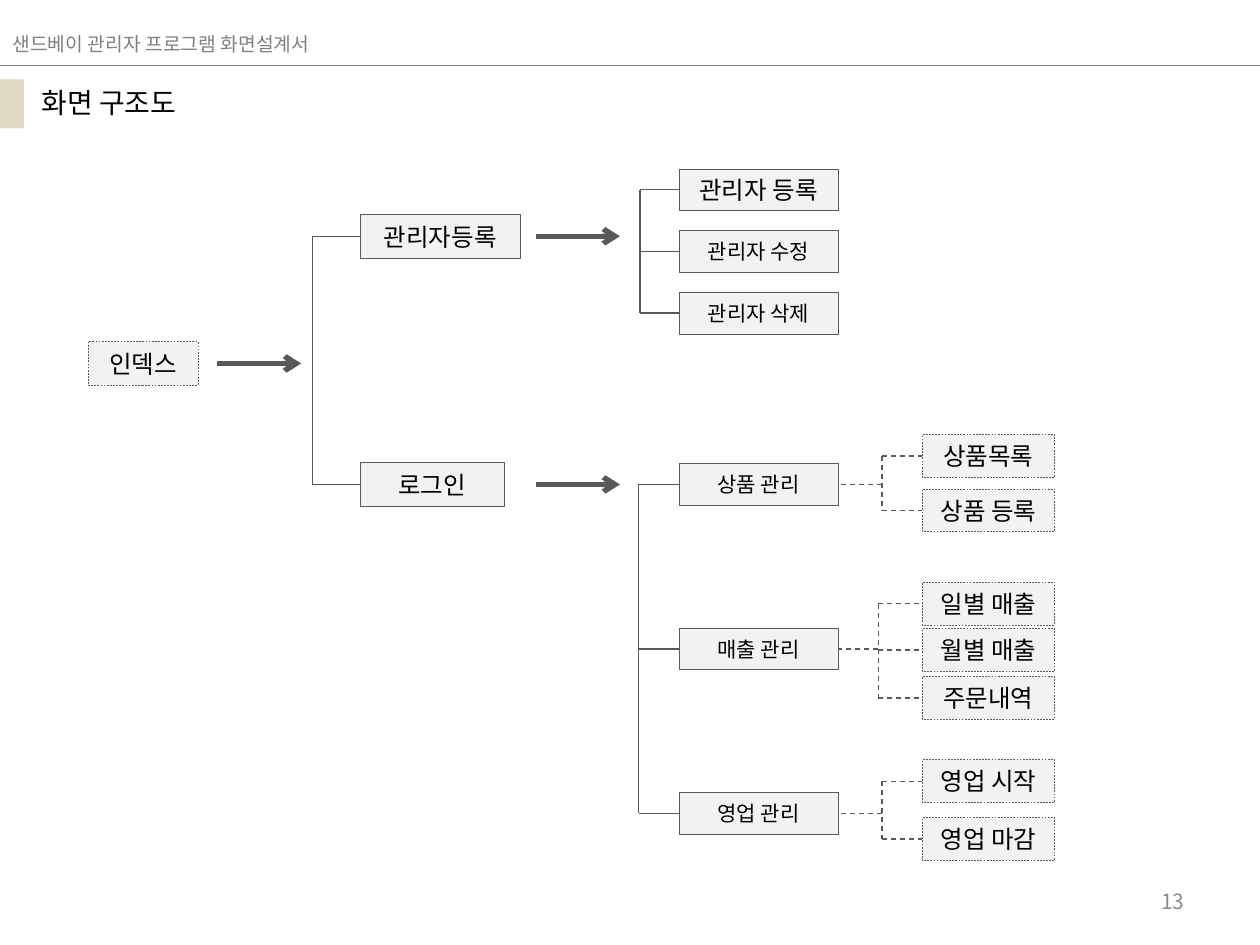
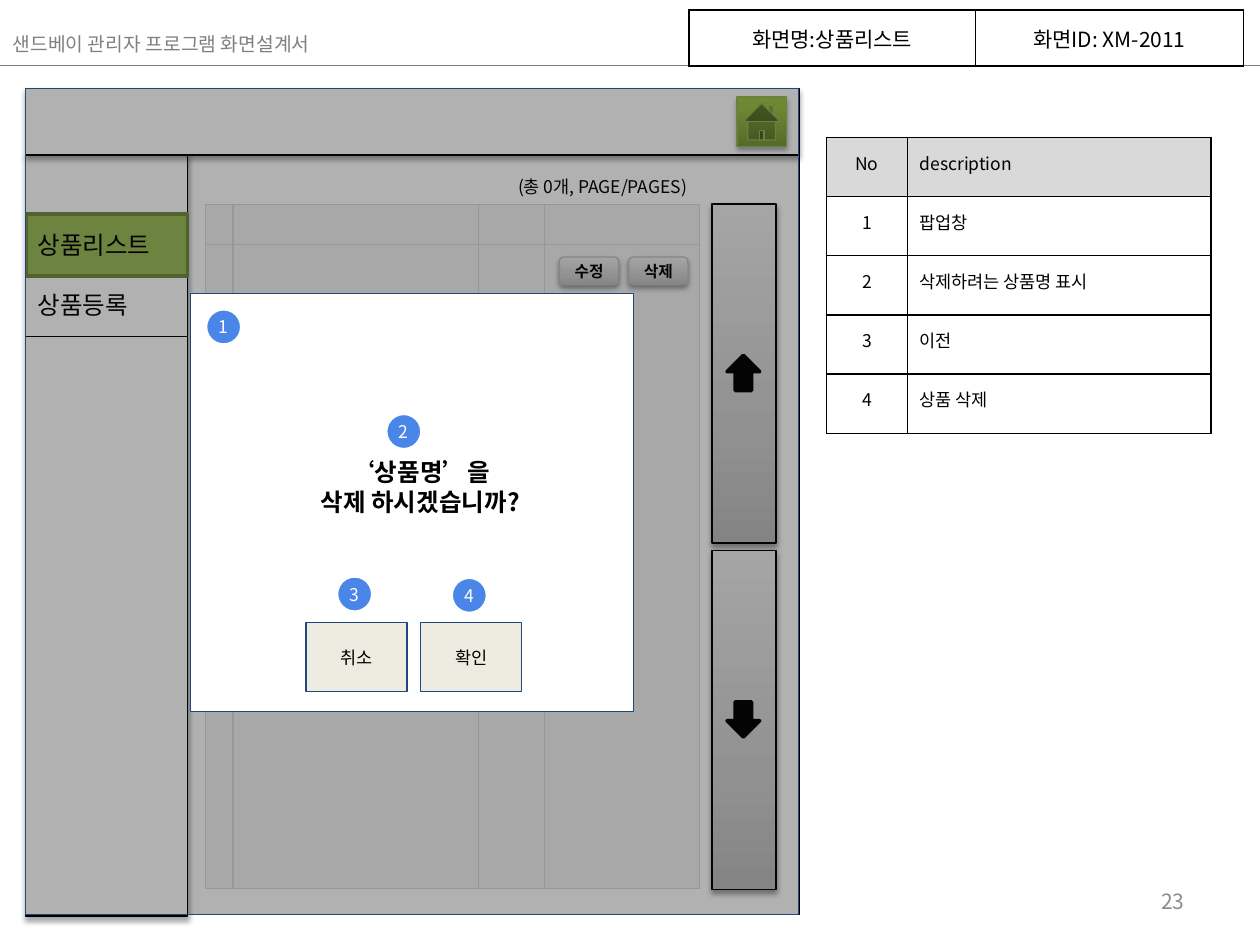
from copy import deepcopy

from pptx import Presentation
from pptx.dml.color import RGBColor
from pptx.enum import dml, shapes, text
from pptx.oxml import ns, xmlchemy
from pptx.util import Inches, Pt

FONT = "Noto Sans CJK KR"
BLACK = RGBColor(0x00, 0x00, 0x00)
WHITE = RGBColor(0xFF, 0xFF, 0xFF)
HEADER_GREY = RGBColor(0x80, 0x80, 0x80)
PAGE_GREY = RGBColor(0x8C, 0x8C, 0x8C)
TREE_LINE = RGBColor(0x59, 0x59, 0x59)
PALE_GREY = RGBColor(0xF2, 0xF2, 0xF2)
GRID_GREY = RGBColor(0xD9, 0xD9, 0xD9)
BUTTON_EDGE = RGBColor(0xBF, 0xBF, 0xBF)
BEIGE = RGBColor(0xDD, 0xD9, 0xC3)
CREAM = RGBColor(0xEE, 0xEC, 0xE1)
NAVY = RGBColor(0x1F, 0x49, 0x7D)
BADGE_BLUE = RGBColor(0x4A, 0x86, 0xE8)
MENU_GREEN = RGBColor(0x9B, 0xBB, 0x59)
MENU_EDGE = RGBColor(0x73, 0x8A, 0x42)
HOME_EDGE = RGBColor(0x98, 0xB9, 0x55)
DIM = RGBColor(0x0D, 0x0D, 0x0D)
GREY_GRADIENT = [(0, RGBColor(0xBD, 0xBD, 0xBD)), (0.35, RGBColor(0xD1, 0xD1, 0xD1)),
                 (1, RGBColor(0xEE, 0xEE, 0xEE))]
GREEN_GRADIENT = [(0, RGBColor(0x77, 0x97, 0x37)), (0.8, RGBColor(0x9B, 0xC3, 0x48)),
                  (1, RGBColor(0x9D, 0xC7, 0x46))]

DOCUMENT_NAME = "샌드베이 관리자 프로그램 화면설계서"
LEFT, CENTER, RIGHT = text.PP_ALIGN.LEFT, text.PP_ALIGN.CENTER, text.PP_ALIGN.RIGHT
TOP, MIDDLE = text.MSO_ANCHOR.TOP, text.MSO_ANCHOR.MIDDLE
SHAPE = shapes.MSO_SHAPE


def set_all(target, values):
    for name, value in values.items():
        setattr(target, name, value)


def xml_child(parent, tag, **attributes):
    child = xmlchemy.OxmlElement(tag)
    for name, value in attributes.items():
        child.set(name, str(value))
    parent.append(child)
    return child


# Text
def write(frame, lines, size, color=BLACK, align=LEFT, bold=False, gap=0):
    """Fill a text frame with one paragraph for each line."""
    for index, line in enumerate(lines.split("\n")):
        paragraph = frame.add_paragraph() if index else frame.paragraphs[0]
        set_all(paragraph, {"alignment": align, "space_before": Pt(gap if index else 0)})
        run = paragraph.add_run()
        run.text = line
        set_all(run.font, {"name": FONT, "size": Pt(size), "bold": bold})
        run.font.color.rgb = color
        xml_child(run.font._element, "a:ea", typeface=FONT)


def format_frame(frame, anchor=TOP, side=0.1, edge=0.05):
    set_all(frame, {
        "word_wrap": True, "auto_size": text.MSO_AUTO_SIZE.NONE, "vertical_anchor": anchor,
        "margin_left": Inches(side), "margin_right": Inches(side),
        "margin_top": Inches(edge), "margin_bottom": Inches(edge)})


def add_label(slide, at, lines, size, anchor=TOP, **style):
    label = slide.shapes.add_textbox(*map(Inches, at))
    format_frame(label.text_frame, anchor)
    write(label.text_frame, lines, size, **style)


def place_title(slide, at, words, size, color=BLACK):
    title = slide.shapes.title
    set_all(title, dict(zip(("left", "top", "width", "height"), map(Inches, at))))
    format_frame(title.text_frame, TOP)
    write(title.text_frame, words, size, color)


# Shapes
def fill_gradient(shape, stops):
    shape.fill.gradient()
    shape.fill.gradient_angle = 90
    stop_list = shape.element.spPr.find(".//" + ns.qn("a:gsLst"))
    stop_list.insert(1, deepcopy(stop_list[0]))
    for stop, (position, color) in zip(shape.fill.gradient_stops, stops):
        stop.position = position
        stop.color.rgb = color


def add_shadow(shape, opacity):
    effects = shape.element.spPr.find(ns.qn("a:effectLst"))
    shadow = xml_child(effects, "a:outerShdw", blurRad=Pt(3.1), dist=Pt(1.8),
                       dir=5400000, rotWithShape=0)
    xml_child(xml_child(shadow, "a:srgbClr", val=BLACK), "a:alpha", val=opacity * 1000)


def format_line(line, color, weight, dashed=False):
    line.color.rgb = color
    line.width = Pt(weight)
    if dashed:
        line.dash_style = dml.MSO_LINE.DASH


def add_block(slide, at, fill=None, edge=None, weight=0.75, dashed=False,
              kind=SHAPE.RECTANGLE, shadow=0, opacity=100):
    """Draw a preset shape; fill is a colour, a list of gradient stops or None."""
    block = slide.shapes.add_shape(kind, *map(Inches, at))
    block.shadow.inherit = False
    if fill is None:
        block.fill.background()
    elif isinstance(fill, list):
        fill_gradient(block, fill)
    else:
        block.fill.solid()
        block.fill.fore_color.rgb = fill
    if edge is None:
        block.line.fill.background()
    else:
        format_line(block.line, edge, weight, dashed)
    if shadow:
        add_shadow(block, shadow)
    if opacity < 100:
        color = block.element.spPr.find(ns.qn("a:solidFill"))[0]
        xml_child(color, "a:alpha", val=opacity * 1000)
    return block


def add_caption(block, words, size, side=0.1, edge=0.1, **style):
    format_frame(block.text_frame, MIDDLE, side, edge)
    write(block.text_frame, words, size, align=CENTER, **style)


def add_line(slide, start, end, color, weight=0.75, dashed=False, arrow=False):
    line = slide.shapes.add_connector(shapes.MSO_CONNECTOR.STRAIGHT, *map(Inches, start + end))
    format_line(line.line, color, weight, dashed)
    if arrow:
        xml_child(line.line._get_or_add_ln(), "a:tailEnd", type="arrow")
    xml_child(line.element.spPr, "a:effectLst")
    return line


# Tables
def add_grid(slide, at, columns, row_height, rows, size, aligns, header_fill=None):
    left, top = at
    table = slide.shapes.add_table(len(rows), len(columns), Inches(left), Inches(top),
                                   Inches(sum(columns)), Inches(row_height * len(rows))).table
    set_all(table, {"first_row": False, "horz_banding": False})
    for column, width in zip(table.columns, columns):
        column.width = Inches(width)
    for r, row in enumerate(rows):
        table.rows[r].height = Inches(row_height)
        for c, words in enumerate(row):
            cell = table.cell(r, c)
            set_all(cell, dict.fromkeys(
                ("margin_left", "margin_right", "margin_top", "margin_bottom"), Inches(0.1)))
            write(cell.text_frame, words, size, align=aligns[c])
            border_cell(cell, c == 0, c == len(columns) - 1)
            if header_fill is not None and r == 0:
                cell.fill.solid()
                cell.fill.fore_color.rgb = header_fill
            else:
                cell.fill.background()


def border_cell(cell, first, last):
    weights = {"a:lnL": 1 if first else 0.5, "a:lnR": 1 if last else 0.5, "a:lnT": 1, "a:lnB": 1}
    for tag, weight in weights.items():
        border = xml_child(cell._tc.get_or_add_tcPr(), tag, w=Pt(weight))
        xml_child(xml_child(border, "a:solidFill"), "a:srgbClr", val=BLACK)


# Screen tree
def add_node(slide, at, words, size=14, dashed=False):
    node = add_block(slide, at, PALE_GREY, TREE_LINE, 0.25, dashed)
    add_caption(node, words, size)
    return node


def middle(node):
    return (node.top + node.height / 2) / Inches(1)


def add_branch(slide, trunk, children, parent=None):
    """Join children to a vertical trunk, dashed when it hangs on a parent."""
    dashed = parent is not None
    add_line(slide, (trunk, middle(children[0])), (trunk, middle(children[-1])),
             TREE_LINE, dashed=dashed)
    for child in children:
        y = middle(child)
        add_line(slide, (trunk, y), (trunk, y), TREE_LINE, dashed=dashed).end_connect(child, 1)
    if dashed:
        y = middle(parent)
        add_line(slide, (trunk, y), (trunk, y), TREE_LINE, dashed=True).end_connect(parent, 3)


def add_step_arrow(slide, left, node):
    y = middle(node)
    add_line(slide, (left, y), (left + 0.67, y), TREE_LINE, 3, arrow=True)


# Slides
def add_page(deck, number, section=None):
    slide = deck.slides.add_slide(deck.slide_layouts[5])
    header = (0, 0.21, 4.28, 0.29)
    if section:
        add_label(slide, header, DOCUMENT_NAME, 11, color=HEADER_GREY)
        place_title(slide, (0.23, 0.63, 1.72, 0.37), section, 16)
        add_block(slide, (0, 0.63, 0.19, 0.39), BEIGE)
    else:
        place_title(slide, header, DOCUMENT_NAME, 11, HEADER_GREY)
    add_line(slide, (0, 0.52), (10, 0.52), HEADER_GREY, 1)
    add_label(slide, (7.17, 6.95, 2.33, 0.4), str(number), 12, MIDDLE,
              color=PAGE_GREY, align=RIGHT)
    return slide


def build_structure(deck):
    slide = add_page(deck, 13, "화면 구조도")
    index = add_node(slide, (0.7, 2.71, 0.87, 0.35), "인덱스", dashed=True)
    register = add_node(slide, (2.86, 1.7, 1.27, 0.35), "관리자등록")
    login = add_node(slide, (2.86, 3.67, 1.14, 0.35), "로그인")
    add_branch(slide, 2.48, [register, login])
    for left, node in ((1.72, index), (4.25, register), (4.25, login)):
        add_step_arrow(slide, left, node)

    # Administrator screens
    admin = [("관리자 등록", 14), ("관리자 수정", 12), ("관리자 삭제", 12)]
    add_branch(slide, 5.08, [add_node(slide, (5.39, 1.34 + 0.49 * i, 1.26, 0.33), words, size)
                             for i, (words, size) in enumerate(admin)])

    # Screens after login, each with its sub-screens
    menus = [("상품 관리", 7, {"상품목록": 3.45, "상품 등록": 3.88}),
             ("매출 관리", 6.97, {"일별 매출": 4.62, "월별 매출": 4.99, "주문내역": 5.37}),
             ("영업 관리", 7, {"영업 시작": 6.03, "영업 마감": 6.49})]
    menu_nodes = []
    for i, (menu, trunk, screens) in enumerate(menus):
        menu_node = add_node(slide, (5.39, 3.68 + 1.305 * i, 1.26, 0.33), menu, 12)
        screen_nodes = [add_node(slide, (7.32, top, 1.05, 0.34), words, dashed=True)
                        for words, top in screens.items()]
        add_branch(slide, trunk, screen_nodes, menu_node)
        menu_nodes.append(menu_node)
    add_branch(slide, 5.07, menu_nodes)


def draw_product_list(slide):
    # Window, side menu and top bar
    window = (0.2, 0.7, 6.14, 6.56)
    add_block(slide, (0.2, 1.23, 1.29, 6.04), WHITE, BLACK, shadow=35)
    add_block(slide, window, None, BLACK, 0.25)
    add_block(slide, (0.2, 0.7, 6.14, 0.53), WHITE, BLACK, shadow=35)
    add_block(slide, (5.85, 0.77, 0.39, 0.39), GREEN_GRADIENT, HOME_EDGE,
              kind=SHAPE.ACTION_BUTTON_HOME, shadow=35)

    # Product grid
    add_block(slide, (1.63, 1.62, 3.92, 5.43), PALE_GREY, GRID_GREY, 0.25)
    add_line(slide, (1.63, 1.94), (5.55, 1.94), GRID_GREY)
    for x in (1.85, 3.8, 4.32):
        add_line(slide, (x, 1.62), (x, 7.05), GRID_GREY)
    add_label(slide, (3.96, 1.35, 1.59, 0.27), "(총 0개, PAGE/PAGES)", 10, align=RIGHT)
    for left, words in ((4.44, "수정"), (4.99, "삭제")):
        button = add_block(slide, (left, 2.04, 0.47, 0.22), GREY_GRADIENT, BUTTON_EDGE,
                           kind=SHAPE.ROUNDED_RECTANGLE, shadow=38)
        add_caption(button, words, 9, edge=0.05, bold=True)

    # Scroll buttons
    for top, arrow_top, kind in ((1.62, 2.82, SHAPE.UP_ARROW), (4.37, 5.57, SHAPE.DOWN_ARROW)):
        add_block(slide, (5.65, top, 0.51, 2.69), GREY_GRADIENT, BLACK, shadow=38)
        add_block(slide, (5.77, arrow_top, 0.26, 0.28), BLACK, BLACK, 2, kind=kind)

    # Menu entries
    for y in (1.7, 2.19, 2.67):
        add_line(slide, (0.2, y), (1.49, y), BLACK)
    add_block(slide, (0.21, 1.7, 1.28, 0.49), MENU_GREEN, MENU_EDGE, 2)
    add_label(slide, (0.2, 1.78, 1.28, 0.81), "상품리스트\n상품등록", 14, gap=17)

    add_block(slide, window, DIM, NAVY, opacity=32)


def draw_delete_popup(slide):
    add_block(slide, (1.51, 2.33, 3.52, 3.32), WHITE, NAVY)
    for left, words in ((2.43, "취소"), (3.34, "확인")):
        add_caption(add_block(slide, (left, 4.94, 0.8, 0.55), CREAM, NAVY), words, 10)
    add_label(slide, (2.37, 3.58, 1.93, 0.57), "‘상품명’을\n삭제 하시겠습니까?", 14,
              align=CENTER, bold=True)
    for number, spot in enumerate([(1.64, 2.46), (3.07, 3.29), (2.68, 4.58), (3.59, 4.59)], 1):
        badge = add_block(slide, spot + (0.27, 0.27), BADGE_BLUE, WHITE, kind=SHAPE.OVAL)
        add_caption(badge, str(number), 10, side=0, edge=0, color=WHITE)


def build_delete_screen(deck):
    slide = add_page(deck, 23)
    add_grid(slide, (5.47, 0.08), [2.27, 2.13], 0.42,
             [("화면명:상품리스트", "화면ID: XM-2011")], 12, [CENTER, CENTER])
    notes = ["팝업창", "삭제하려는 상품명 표시", "이전", "상품 삭제"]
    rows = [("No", "description")] + [(str(i), note) for i, note in enumerate(notes, 1)]
    add_grid(slide, (6.56, 1.09), [0.64, 2.41], 0.47, rows, 10, [CENTER, LEFT], GRID_GREY)
    draw_product_list(slide)
    draw_delete_popup(slide)


def main():
    deck = Presentation()
    set_all(deck, {"slide_width": Inches(10), "slide_height": Inches(7.5)})
    build_structure(deck)
    build_delete_screen(deck)
    deck.save("out.pptx")


if __name__ == "__main__":
    main()
